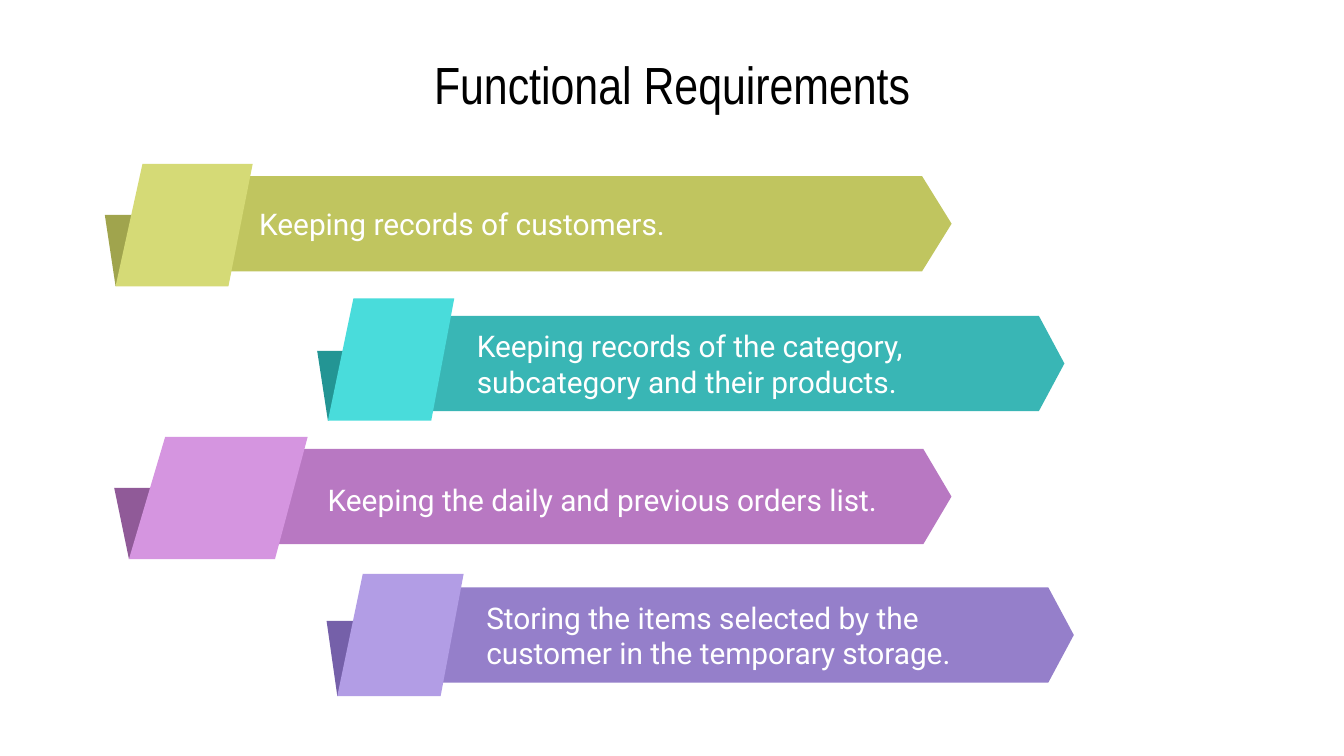
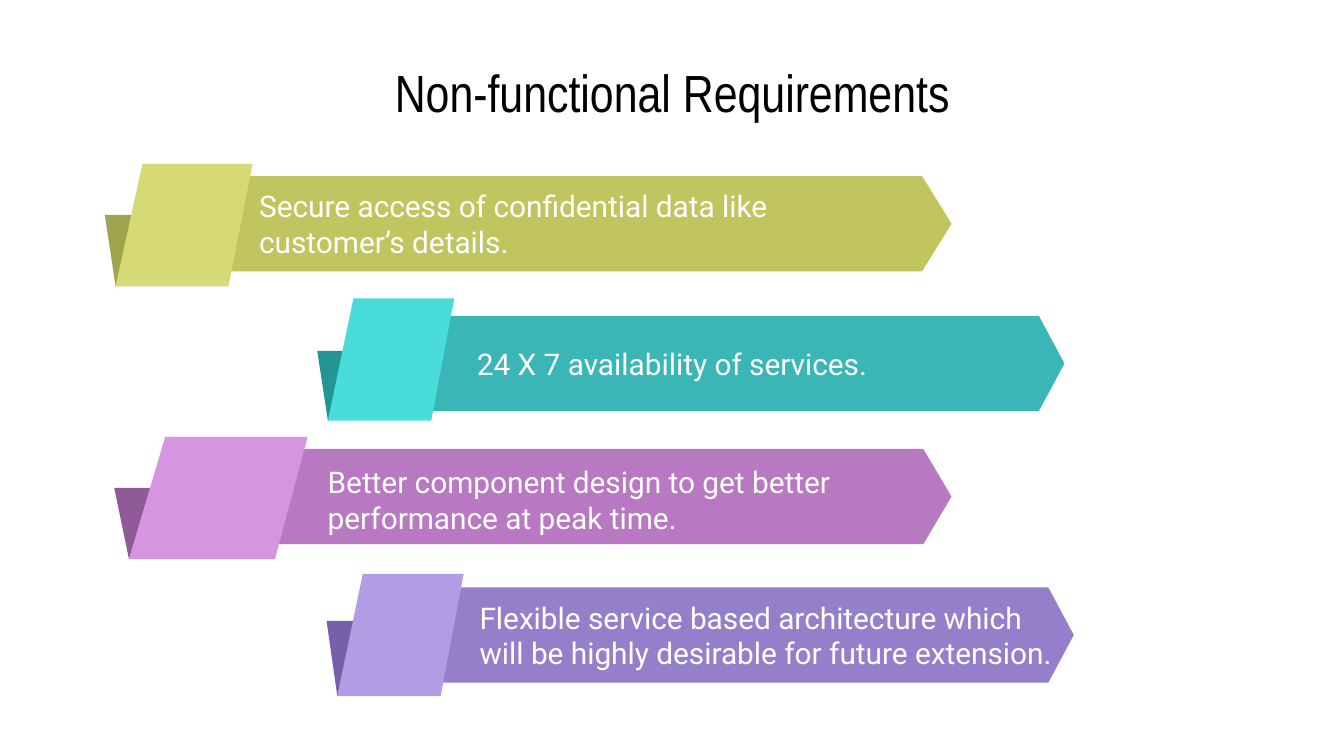
from dataclasses import dataclass

from pptx import Presentation
from pptx.dml.color import RGBColor
from pptx.enum.text import MSO_ANCHOR, PP_ALIGN
from pptx.util import Inches, Pt

COLUMNS = 10
ROWS = COLUMNS * 9 / 16
WIDTH, HEIGHT = Inches(COLUMNS), Inches(ROWS)
CARD_HEIGHT, BAR_HEIGHT = 0.91, 0.71
TITLE_FONT, BODY_FONT = "Arial Narrow", "Roboto"
BLACK, WHITE = "000000", "FFFFFF"


@dataclass
class Ribbon:
    tail: tuple
    card: tuple
    slant: float
    bar: tuple
    notch: float
    tail_color: str
    card_color: str
    bar_color: str


RIBBONS = [
    Ribbon((0.78, 1.6, 0.42), (0.86, 1.22, 1.02), 0.2, (1.19, 1.31, 5.89), 0.22,
           "A0A44D", "D5DA76", "C0C55F"),
    Ribbon((2.36, 2.61, 0.39), (2.44, 2.22, 0.94), 0.19, (2.78, 2.35, 5.14), 0.19,
           "239594", "49DCDB", "39B6B5"),
    Ribbon((0.85, 3.63, 0.54), (0.96, 3.25, 1.33), 0.27, (1.44, 3.34, 5.64), 0.21,
           "905A98", "D595E0", "B878C2"),
    Ribbon((2.43, 4.62, 0.39), (2.51, 4.27, 0.94), 0.19, (2.85, 4.37, 5.14), 0.19,
           "7560A9", "B29DE5", "957FCA"),
]

LABEL_PLACES = [
    (1.83, 1.48, 4.62, 0.37),
    (3.45, 2.61, 3.97, 0.19),
    (2.34, 3.6, 4.4, 0.23),
    (3.52, 4.5, 4.32, 0.45),
]
WIDE_LAST_LABEL = (3.47, 4.5, 4.5, 0.45)

PAGES = [
    ("Functional Requirements", (2.75, 0.45, 4.5, 0.35), LABEL_PLACES, [
        "Keeping records of customers.",
        "Keeping records of the category, subcategory and their products.",
        "Keeping the daily and previous orders list.",
        "Storing the items selected by the customer in the temporary storage.",
    ]),
    ("Non-functional Requirements", (2.66, 0.51, 4.68, 0.35),
     LABEL_PLACES[:-1] + [WIDE_LAST_LABEL], [
        "Secure access of confidential data like customer’s details.",
        "24 X 7 availability of services.",
        "Better component design to get better performance at peak time.",
        "Flexible service based architecture which will be highly desirable for future extension.",
    ]),
]


def color(value):
    return RGBColor.from_string(value)


def across(columns):
    return round(WIDTH * columns / COLUMNS)


def down(rows):
    return round(HEIGHT * rows / ROWS)


def add_outline(page, points, fill):
    start, *others = [(across(x), down(y)) for x, y in points]
    builder = page.shapes.build_freeform(*start)
    builder.add_line_segments(others, close=True)
    shape = builder.convert_to_shape()
    shape.shadow.inherit = False
    shape.fill.solid()
    shape.fill.fore_color.rgb = color(fill)
    shape.line.fill.background()


def add_text(page, text, place, *, size=16, font=BODY_FONT, ink=WHITE, align=PP_ALIGN.LEFT):
    left, top, width, height = place
    box = page.shapes.add_textbox(across(left), down(top), across(width), down(height))
    frame = box.text_frame
    frame.word_wrap = True
    frame.vertical_anchor = MSO_ANCHOR.MIDDLE
    frame.margin_left = frame.margin_right = Inches(0.1)
    frame.margin_top = frame.margin_bottom = Inches(0.1)
    para = frame.paragraphs[0]
    para.alignment = align
    span = para.add_run()
    span.text = text
    span.font.size = Pt(size)
    span.font.name = font
    span.font.color.rgb = color(ink)


def add_ribbon(page, ribbon):
    left, top, width = ribbon.card
    right, bottom = left + width, top + CARD_HEIGHT
    tail_left, tail_top, tail_width = ribbon.tail
    tail_right = tail_left + tail_width
    add_outline(page, [(tail_left, tail_top), (left, bottom),
                       (tail_right, bottom - 0.13), (tail_right, tail_top)],
                ribbon.tail_color)

    bar_left, bar_top, bar_width = ribbon.bar
    bar_right, bar_bottom = bar_left + bar_width, bar_top + BAR_HEIGHT
    middle = bar_top + BAR_HEIGHT / 2
    inner_left, inner_right = bar_left + ribbon.notch, bar_right - ribbon.notch
    add_outline(page, [(inner_left, bar_top), (bar_left, middle), (inner_left, bar_bottom),
                       (inner_right, bar_bottom), (bar_right, middle), (inner_right, bar_top)],
                ribbon.bar_color)

    add_outline(page, [(left + ribbon.slant, top), (left, bottom),
                       (right - 0.9 * ribbon.slant, bottom), (right, top)],
                ribbon.card_color)


def add_page(deck, title, title_place, label_places, labels):
    page = deck.slides.add_slide(deck.slide_layouts[6])
    page.background.fill.solid()
    page.background.fill.fore_color.rgb = color(WHITE)
    add_text(page, title, title_place, size=28, font=TITLE_FONT, ink=BLACK,
             align=PP_ALIGN.CENTER)
    for ribbon, place, label in zip(RIBBONS, label_places, labels):
        add_ribbon(page, ribbon)
        add_text(page, label, place)


def main():
    deck = Presentation()
    deck.slide_width, deck.slide_height = WIDTH, HEIGHT
    for content in PAGES:
        add_page(deck, *content)
    deck.save("out.pptx")


if __name__ == "__main__":
    main()
